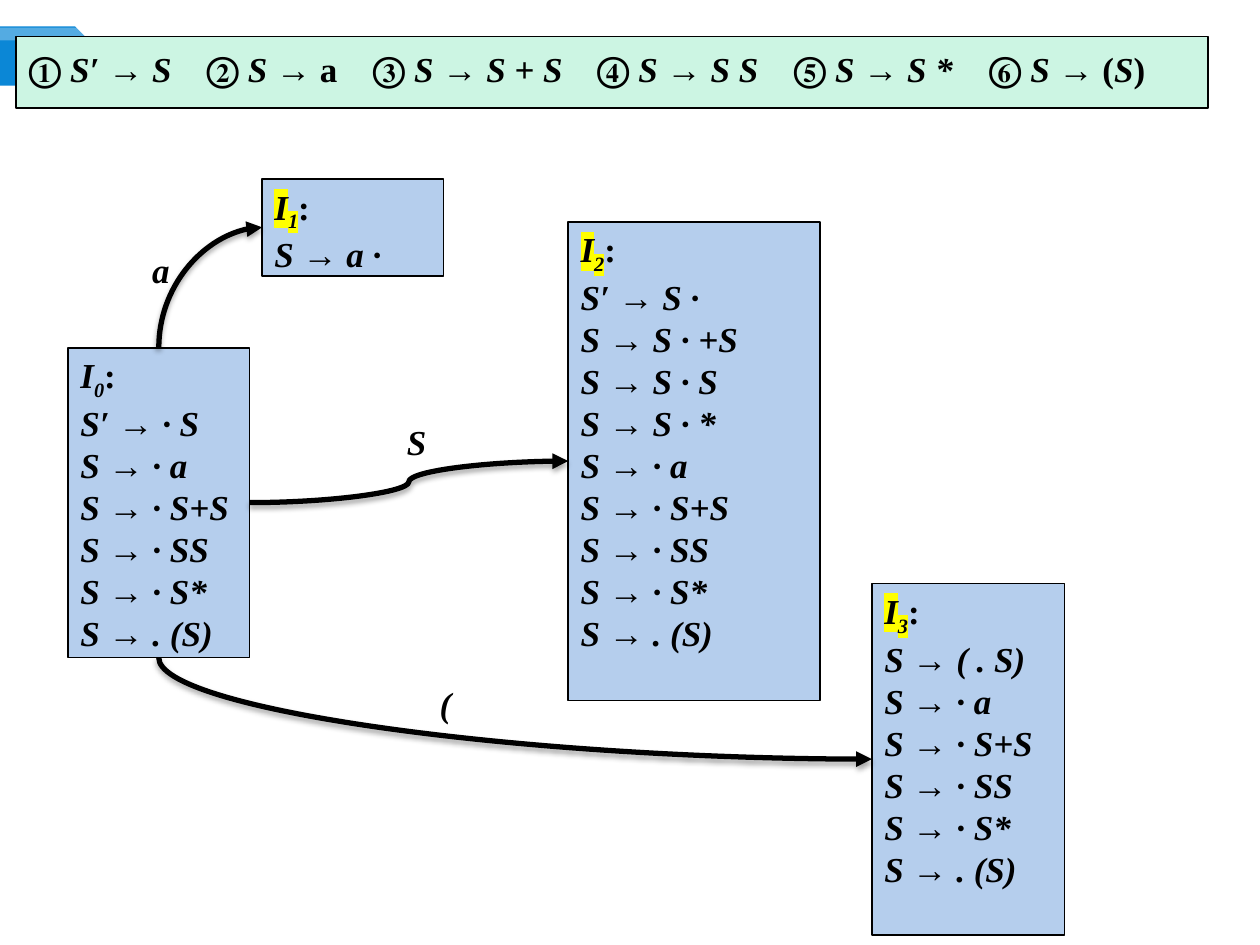
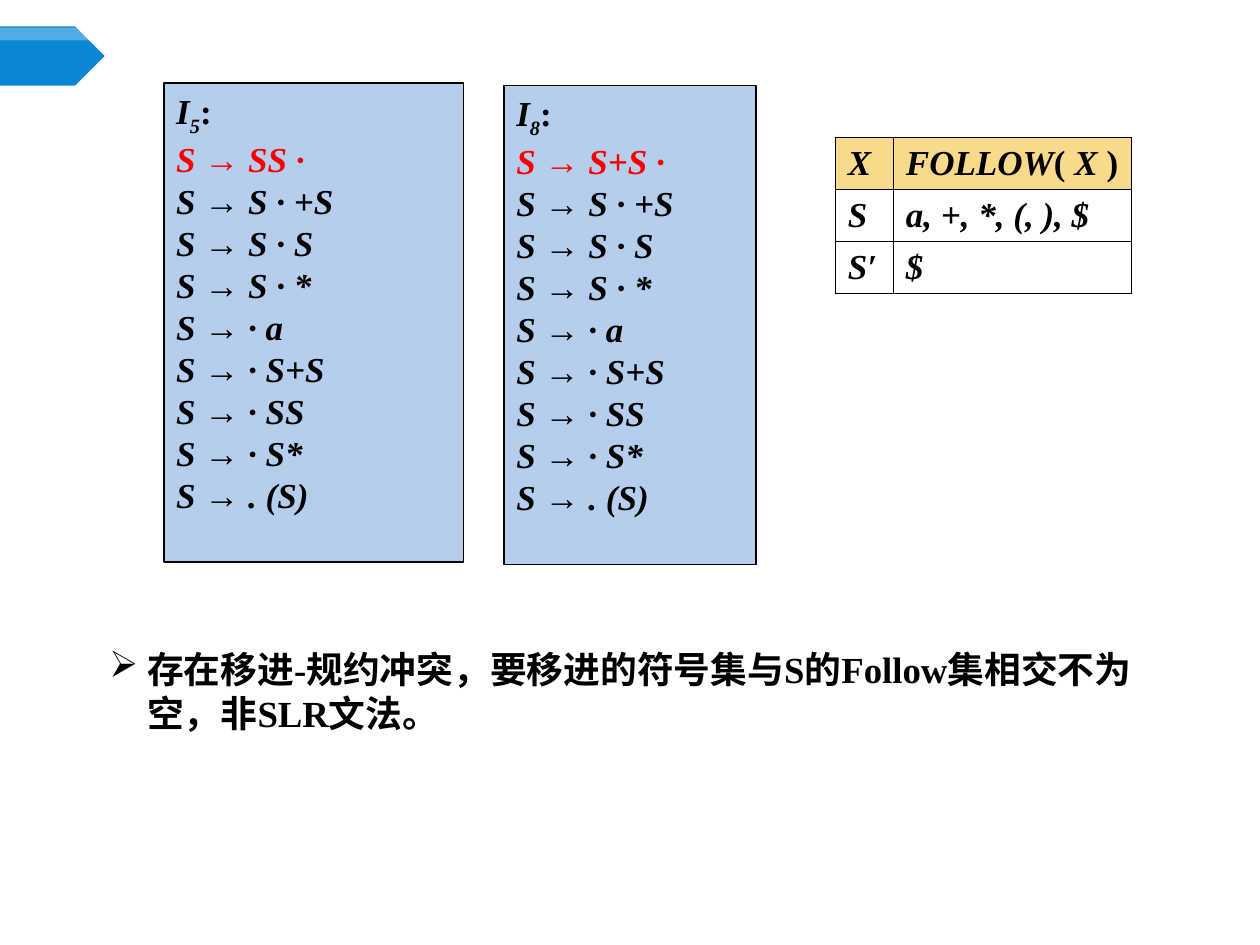
from itertools import product
from lxml.etree import SubElement
from pptx import Presentation
from pptx.dml.color import RGBColor
from pptx.enum.shapes import MSO_CONNECTOR, MSO_SHAPE
from pptx.enum.text import MSO_ANCHOR
from pptx.oxml import parse_xml
from pptx.oxml.ns import nsdecls, qn
from pptx.util import Inches, Pt

BLACK = RGBColor(0x00, 0x00, 0x00)
WHITE = RGBColor(0xFF, 0xFF, 0xFF)
RED = RGBColor(0xFF, 0x00, 0x00)
YELLOW = RGBColor(0xFF, 0xFF, 0x00)
BLUE = RGBColor(0x0B, 0x87, 0xD6)
PALE = RGBColor(0xB5, 0xCE, 0xED)
MINT = RGBColor(0xCC, 0xF5, 0xE3)
GOLD = RGBColor(0xF9, 0xD9, 0x8C)

CLOSE = ["S → · a", "S → · S+S", "S → · SS", "S → · S*", "S → . (S)"]
SHIFT = ["S → S · +S", "S → S · S", "S → S · *"]
RULES = ["① _S′ _→ _S_", "② _S_ → a", "③ _S_ → _S + S_",
         "④ _S_ → _S S_", "⑤ _S _→ _S *_", "⑥ _S_ → (_S_)"]
STOPS = [1.41, 2.73, 4.51, 6.07, 7.62]
FOLLOW = [["_X_", "_FOLLOW_( _X_ )"], ["_S_", "_a, +, *, (, ), $_"], ["_S′_", "_$_"]]
CLASH = "存在移进-规约冲突，要移进的符号集与S的Follow集相交不为空，非SLR文法。"


def unit(count):
    return Inches(count / 10)


def xml(tag, body="", **attrs):
    pairs = " ".join(f'{key}="{val}"' for key, val in attrs.items())
    return parse_xml(f'<a:{tag} {nsdecls("a")} {pairs}>{body}</a:{tag}>')


def write(par, words, size=20, tint=BLACK, sub=False, mark=None):
    for turn, part in enumerate(words.split("_")):
        if not part:
            continue
        run = par.add_run()
        run.text = part
        font = run.font
        font.size, font.bold, font.italic = Pt(size), True, turn % 2 == 1
        font.name = "Times New Roman"
        font.color.rgb = tint
        props = run._r.get_or_add_rPr()
        if sub:
            props.set("baseline", "-25000")
        if mark:
            props.find(qn("a:solidFill")).addnext(
                xml("highlight", f'<a:srgbClr val="{mark}"/>'))


class Deck:
    def __init__(self):
        self.file = Presentation()
        self.file.slide_width, self.file.slide_height = unit(100), unit(75)
        self.slide = None

    def page(self):
        self.slide = self.file.slides.add_slide(self.file.slide_layouts[6])
        band = MSO_SHAPE.PENTAGON
        self.block(0, 2.1, 8.3, 4.7, BLUE, band, edge=False)
        gloss = self.block(0, 2.2, 8.3, 1, WHITE, band, edge=False)
        tone = gloss._element.spPr.find(qn("a:solidFill"))[0]
        SubElement(tone, qn("a:alpha"), val="30000")

    def block(self, col, row, wide, high, fill, form=MSO_SHAPE.RECTANGLE, edge=True):
        shape = self.slide.shapes.add_shape(form, *map(unit, (col, row, wide, high)))
        shape.shadow.inherit = False
        shape.fill.solid()
        shape.fill.fore_color.rgb = fill
        if edge:
            shape.line.color.rgb = BLACK
            shape.line.width = Pt(1)
        else:
            shape.line.fill.background()
        shape.text_frame.word_wrap = True
        return shape

    def state(self, num, col, row, wide, high, items, mark=None, hot=None):
        shape = self.block(col, row, wide, high, PALE)
        frame = shape.text_frame
        frame.vertical_anchor = MSO_ANCHOR.TOP
        head = frame.paragraphs[0]
        head.alignment = 1
        write(head, "_I_", mark=mark)
        write(head, f"_{num}_", sub=True, mark=mark)
        write(head, ":")
        for item in items:
            par = frame.add_paragraph()
            par.alignment = 1
            write(par, f"_{item}_", tint=RED if item == hot else BLACK)
        return shape

    def grammar(self, col, row, wide, high):
        frame = self.block(col, row, wide, high, MINT).text_frame
        frame.vertical_anchor = MSO_ANCHOR.MIDDLE
        par = frame.paragraphs[0]
        par.alignment = 1
        par.line_spacing = Pt(20)
        tabs = SubElement(par._p.get_or_add_pPr(), qn("a:tabLst"))
        for stop in STOPS:
            SubElement(tabs, qn("a:tab"), pos=str(Inches(stop)), algn="l")
        write(par, "\t".join(RULES))

    def label(self, words, col, row, wide=5.5, high=4.4, size=20, point=False):
        box = self.slide.shapes.add_textbox(*map(unit, (col, row, wide, high)))
        box.text_frame.word_wrap = True
        par = box.text_frame.paragraphs[0]
        if point:
            props = par._p.get_or_add_pPr()
            props.set("marL", str(unit(7.4)))
            props.set("indent", str(unit(-3)))
            props.append(xml("buChar", char="➢"))
        write(par, words, size=size)

    def curve(self, start, end):
        line = self.slide.shapes.add_connector(MSO_CONNECTOR.CURVE, 0, 0, 0, 0)
        line.begin_connect(start, 3)
        line.end_connect(end, 1)
        self.ink(line)

    def bend(self, start, end):
        left = start.left + start.width // 2
        goal = end.top + end.height // 2
        rise = goal < start.top
        base = start.top if rise else start.top + start.height
        run, drop = end.left - left, abs(goal - base)
        midx, midy = (left + end.left) // 2, (base + goal) // 2
        side = run // 2 if rise else -run // 2
        line = self.slide.shapes.add_connector(
            MSO_CONNECTOR.CURVE, midx + drop // 2, midy + side,
            midx - drop // 2, midy - side)
        props = line._element.spPr
        props.find(qn("a:xfrm")).set("rot", str((90 if rise else 270) * 60000))
        props.find(qn("a:prstGeom")).set("prst", "curvedConnector2")
        self.ink(line)

    def ink(self, line):
        line.line.color.rgb = BLACK
        line.line.width = Pt(3)
        props = line._element.spPr
        props.find(qn("a:ln")).append(xml("tailEnd", type="triangle"))
        tone = '<a:srgbClr val="000000"><a:alpha val="35000"/></a:srgbClr>'
        shade = (f'<a:outerShdw blurRad="{Pt(3.1)}" dist="{Pt(1.8)}" '
                 f'dir="5400000" rotWithShape="0">{tone}</a:outerShdw>')
        props.append(xml("effectLst", shade))

    def table(self, data, col, row, cols, high):
        size = len(data), len(cols)
        grid = self.slide.shapes.add_table(
            *size, *map(unit, (col, row, sum(cols), high * len(data)))).table
        grid.first_row = grid.horz_banding = False
        for track, wide in zip(grid.columns, cols):
            track.width = unit(wide)
        for r, c in product(*map(range, size)):
            cell = grid.cell(r, c)
            cell.vertical_anchor = MSO_ANCHOR.MIDDLE
            cell.margin_top = cell.margin_bottom = unit(0.4)
            if r == 0:
                cell.fill.solid()
                cell.fill.fore_color.rgb = GOLD
            else:
                cell.fill.background()
            for spot, side in enumerate("LRTB"):
                ink = f'<a:solidFill><a:srgbClr val="{BLACK}"/></a:solidFill>'
                cell._tc.get_or_add_tcPr().insert(spot, xml(f"ln{side}", ink, w=Pt(1)))
            write(cell.text_frame.paragraphs[0], data[r][c])


def main():
    deck = Deck()

    deck.page()
    first = deck.state(0, 5.4, 27.6, 14.4, 24.6, ["S′ → · S"] + CLOSE)
    done = deck.state(1, 20.8, 14.2, 14.4, 7.7, ["S → a ·"], YELLOW)
    goto = deck.state(2, 45.1, 17.6, 20, 38, ["S′ → S ·"] + SHIFT + CLOSE, YELLOW)
    open_ = deck.state(3, 69.2, 46.3, 15.3, 27.9, ["S → ( . S)"] + CLOSE, YELLOW)
    deck.bend(first, done)
    deck.curve(first, goto)
    deck.bend(first, open_)
    for sign, col, row in (("a", 11.1, 19.2), ("S", 31.3, 32.9), ("(", 33.9, 53.7)):
        deck.label(f"_{sign}_", col, row)
    deck.grammar(1.3, 2.9, 94.6, 5.7)

    deck.page()
    for num, col, row, wide, hot in ((5, 13, 6.6, 23.8, "S → SS ·"),
                                     (8, 40, 6.8, 20, "S → S+S ·")):
        deck.state(num, col, row, wide, 38, [hot] + SHIFT + CLOSE, hot=hot)
    deck.table(FOLLOW, 66.3, 10.9, [4.6, 18.9], 4.1)
    deck.label(CLASH, 3.3, 50.8, 89.5, 8.1, size=21, point=True)

    deck.file.save("out.pptx")


if __name__ == "__main__":
    main()
